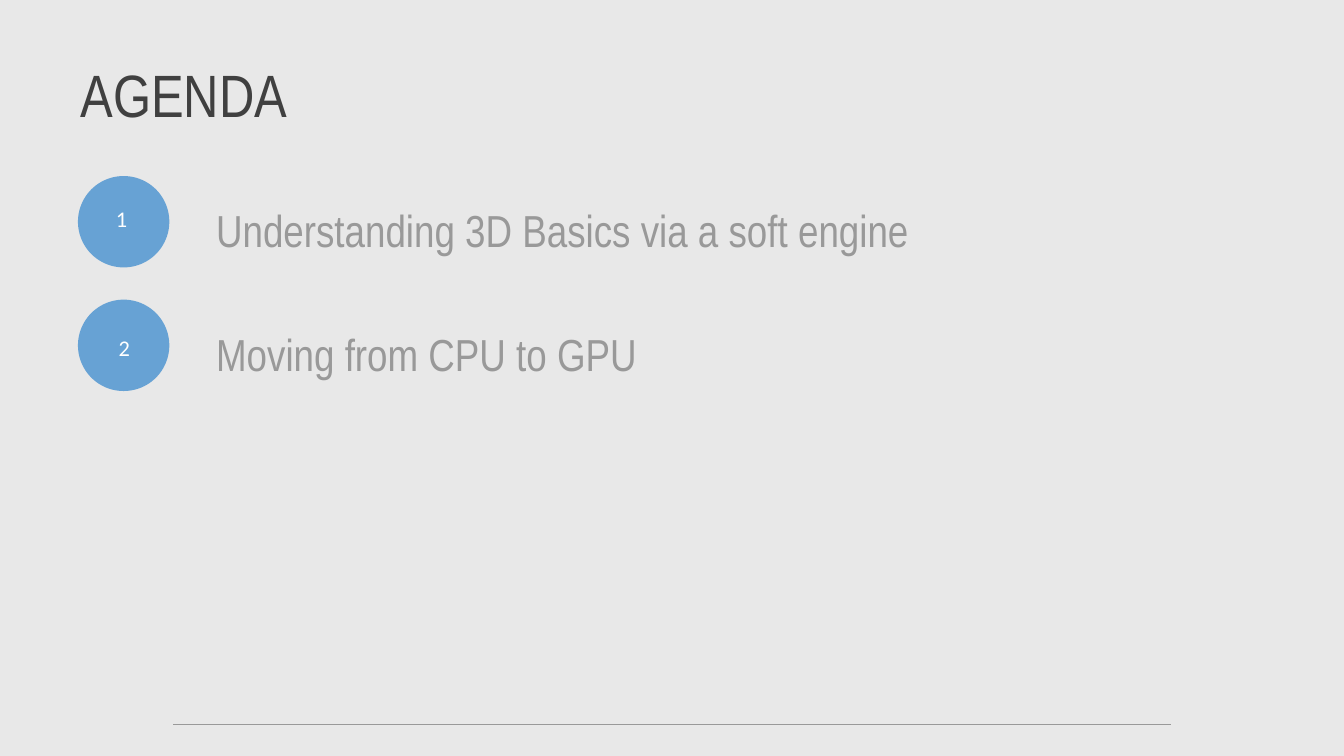
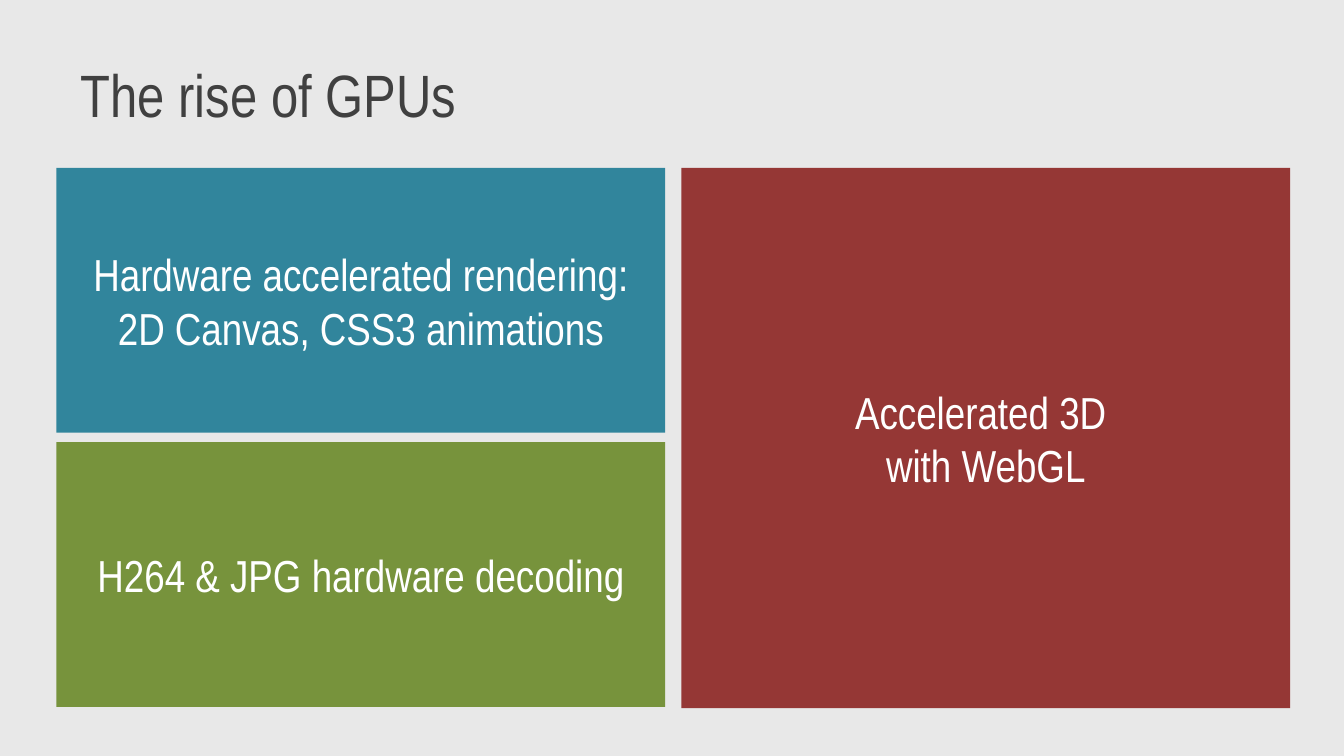
from lxml import etree
from pptx import Presentation
from pptx.dml.color import RGBColor
from pptx.enum import shapes, text
from pptx.oxml import ns
from pptx.util import Inches, Pt

BACKGROUND = "E8E8E8"
TITLE_COLOR = "404040"
GRAY = "999999"
WHITE = "FFFFFF"
BADGE_BLUE = "4791D0"
TEAL, GREEN, RED = "31859C", "77933C", "953735"

HEADING_FONT = "Arial Narrow"
NUMBER_FONT = "Calibri"
TITLE_ONLY = 5


def rgb(color):
    return RGBColor.from_string(color)


def write(frame, lines, size, color, font=HEADING_FONT, align=text.PP_ALIGN.LEFT):
    """Fill a text frame with one paragraph for each line."""
    frame.word_wrap = True
    for index, line in enumerate(lines):
        paragraph = frame.add_paragraph() if index else frame.paragraphs[0]
        paragraph.alignment = align
        run = paragraph.add_run()
        run.text = line
        run.font.name = font
        run.font.size = Pt(size)
        run.font.color.rgb = rgb(color)


def add_titled_slide(prs, title):
    slide = prs.slides.add_slide(prs.slide_layouts[TITLE_ONLY])
    heading = slide.shapes.title
    heading.left, heading.top = Inches(0.5), Inches(0.23)
    heading.width, heading.height = Inches(9), Inches(0.94)
    heading.text_frame.vertical_anchor = text.MSO_ANCHOR.MIDDLE
    write(heading.text_frame, [title], 32, TITLE_COLOR)
    return slide


def add_filled(slide, preset, left, top, width, height, color):
    shape = slide.shapes.add_shape(
        preset, Inches(left), Inches(top), Inches(width), Inches(height))
    shape.shadow.inherit = False
    shape.fill.solid()
    shape.fill.fore_color.rgb = rgb(color)
    shape.line.fill.background()
    return shape


def set_opacity(shape, percent):
    color = shape._element.spPr.find(".//" + ns.qn("a:srgbClr"))
    etree.SubElement(color, ns.qn("a:alpha"), val=str(percent * 1000))


def add_label(slide, label, left, top, width, height, *style, **options):
    box = slide.shapes.add_textbox(
        Inches(left), Inches(top), Inches(width), Inches(height))
    write(box.text_frame, [label], *style, **options)
    box.text_frame.auto_size = text.MSO_AUTO_SIZE.SHAPE_TO_FIT_TEXT


def add_badge(slide, top):
    badge = add_filled(slide, shapes.MSO_SHAPE.OVAL, 0.58, top, 0.68, 0.68, BADGE_BLUE)
    set_opacity(badge, 80)


def add_tile(slide, lines, left, top, height, color):
    tile = add_filled(slide, shapes.MSO_SHAPE.RECTANGLE, left, top, 4.53, height, color)
    tile.text_frame.vertical_anchor = text.MSO_ANCHOR.MIDDLE
    write(tile.text_frame, lines, 24, WHITE, align=text.PP_ALIGN.CENTER)


def add_rule(slide, left, right, y):
    rule = slide.shapes.add_connector(
        shapes.MSO_CONNECTOR.STRAIGHT, Inches(left), Inches(y), Inches(right), Inches(y))
    rule.line.color.rgb = rgb(GRAY)
    rule.line.width = Pt(0.75)
    etree.SubElement(rule._element.spPr, ns.qn("a:effectLst"))


def build_agenda(prs):
    slide = add_titled_slide(prs, "AGENDA")
    add_rule(slide, 1.29, 8.71, 5.39)
    topics = [
        ("Understanding 3D Basics via a soft engine", 0.67, 1.48),
        ("Moving from CPU to GPU", 0.69, 2.44),
    ]
    for index, (topic, number_left, number_top) in enumerate(topics):
        offset = index * 0.92
        add_badge(slide, 1.31 + offset)
        add_label(slide, str(index + 1), number_left, number_top, 0.47, 0.3,
                  12, WHITE, font=NUMBER_FONT, align=text.PP_ALIGN.CENTER)
        add_label(slide, topic, 1.51, 1.46 + offset, 7, 0.5, 24, GRAY)


def build_gpu_rise(prs):
    slide = add_titled_slide(prs, "The rise of GPUs")
    left, right, top, lower_top = 0.42, 5.07, 1.25, 3.29
    add_tile(slide, ["Hardware accelerated rendering:", "2D Canvas, CSS3 animations"],
             left, top, 1.97, TEAL)
    add_tile(slide, ["Accelerated 3D ", "with WebGL"], right, top, 4.02, RED)
    add_tile(slide, ["H264 & JPG hardware decoding"], left, lower_top, 1.97, GREEN)


def main():
    prs = Presentation()
    prs.slide_width = Inches(10)
    prs.slide_height = prs.slide_width * 9 // 16
    backdrop = prs.slide_master.background.fill
    backdrop.solid()
    backdrop.fore_color.rgb = rgb(BACKGROUND)
    build_agenda(prs)
    build_gpu_rise(prs)
    prs.save("out.pptx")


if __name__ == "__main__":
    main()
